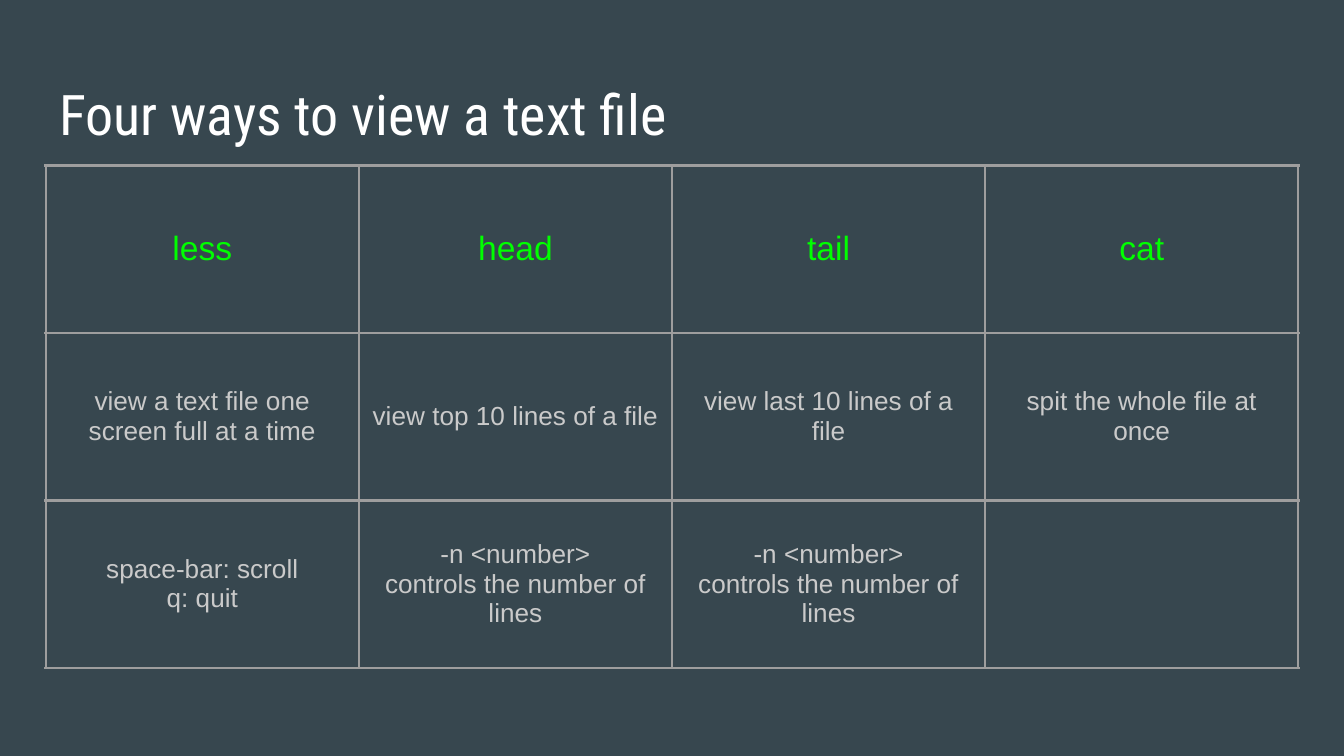
import pptx
import pptx.dml.color
import pptx.enum.text
import pptx.oxml
import pptx.oxml.ns
import pptx.util
from pptx.util import Inches

# Content
TITLE = "Four ways to view a text file"
NUMBER_OPTION = "-n <number>\ncontrols the number of lines"
COMMANDS = [
    ("less", "view a text file one screen full at a time", "space-bar: scroll\nq: quit"),
    ("head", "view top 10 lines of a file", NUMBER_OPTION),
    ("tail", "view last 10 lines of a file", NUMBER_OPTION),
    ("cat", "spit the whole file at once", ""),
]
COLORS = {
    "background": "37474F",
    "title": "FFFFFF",
    "command": "00FF00",
    "description": "CACACA",
    "border": "9E9E9E",
}
LEFT, WIDTH = 0.34, 9.32
TABLE_TOP, TABLE_HEIGHT = 1.23, 3.74
ROW_COUNT = len(COMMANDS[0])


def rgb(name):
    return pptx.dml.color.RGBColor.from_string(COLORS[name])


def write_text(text_frame, text, *, font, size, color, align):
    text_frame.text = text
    for paragraph in text_frame.paragraphs:
        paragraph.alignment = align
        paragraph.font.name = font
        paragraph.font.size = pptx.util.Pt(size)
        paragraph.font.bold = False
        paragraph.font.color.rgb = rgb(color)


def add_borders(cell, width):
    properties = cell._tc.get_or_add_tcPr()
    for position, side in enumerate(("lnL", "lnR", "lnT", "lnB")):
        line = pptx.oxml.parse_xml(
            f'<a:{side} {pptx.oxml.ns.nsdecls("a")} w="{pptx.util.Pt(width)}">'
            f'<a:solidFill><a:srgbClr val="{COLORS["border"]}"/></a:solidFill>'
            f'</a:{side}>'
        )
        properties.insert(position, line)


# Widescreen slide, 16:9
presentation = pptx.Presentation()
presentation.slide_width = Inches(10)
presentation.slide_height = Inches(10 * 9 / 16)
slide = presentation.slides.add_slide(presentation.slide_layouts[5])
slide.background.fill.solid()
slide.background.fill.fore_color.rgb = rgb("background")

# Title
title = slide.shapes.title
title.left, title.top = Inches(LEFT), Inches(0.49)
title.width, title.height = Inches(WIDTH), Inches(0.63)
frame = title.text_frame
frame.margin_left = frame.margin_right = Inches(0.1)
frame.margin_top = frame.margin_bottom = Inches(0.1)
frame.word_wrap = True
frame.auto_size = pptx.enum.text.MSO_AUTO_SIZE.NONE
frame.vertical_anchor = pptx.enum.text.MSO_ANCHOR.TOP
write_text(frame, TITLE, font="Roboto Condensed", size=30, color="title",
           align=pptx.enum.text.PP_ALIGN.LEFT)

# Table of commands, one column each
table = slide.shapes.add_table(
    ROW_COUNT, len(COMMANDS), Inches(LEFT), Inches(TABLE_TOP),
    Inches(WIDTH), Inches(TABLE_HEIGHT),
).table
table.horz_banding = False
for column_index, command in enumerate(COMMANDS):
    for row_index, text in enumerate(command):
        cell = table.cell(row_index, column_index)
        cell.fill.background()
        add_borders(cell, 1.5)
        cell.vertical_anchor = pptx.enum.text.MSO_ANCHOR.MIDDLE
        cell.margin_left = cell.margin_right = Inches(0.1)
        cell.margin_top = cell.margin_bottom = Inches(0.07)
        is_name = row_index == 0
        write_text(cell.text_frame, text, font="Arial",
                   size=18 if is_name else 14,
                   color="command" if is_name else "description",
                   align=pptx.enum.text.PP_ALIGN.CENTER)

presentation.save("out.pptx")
